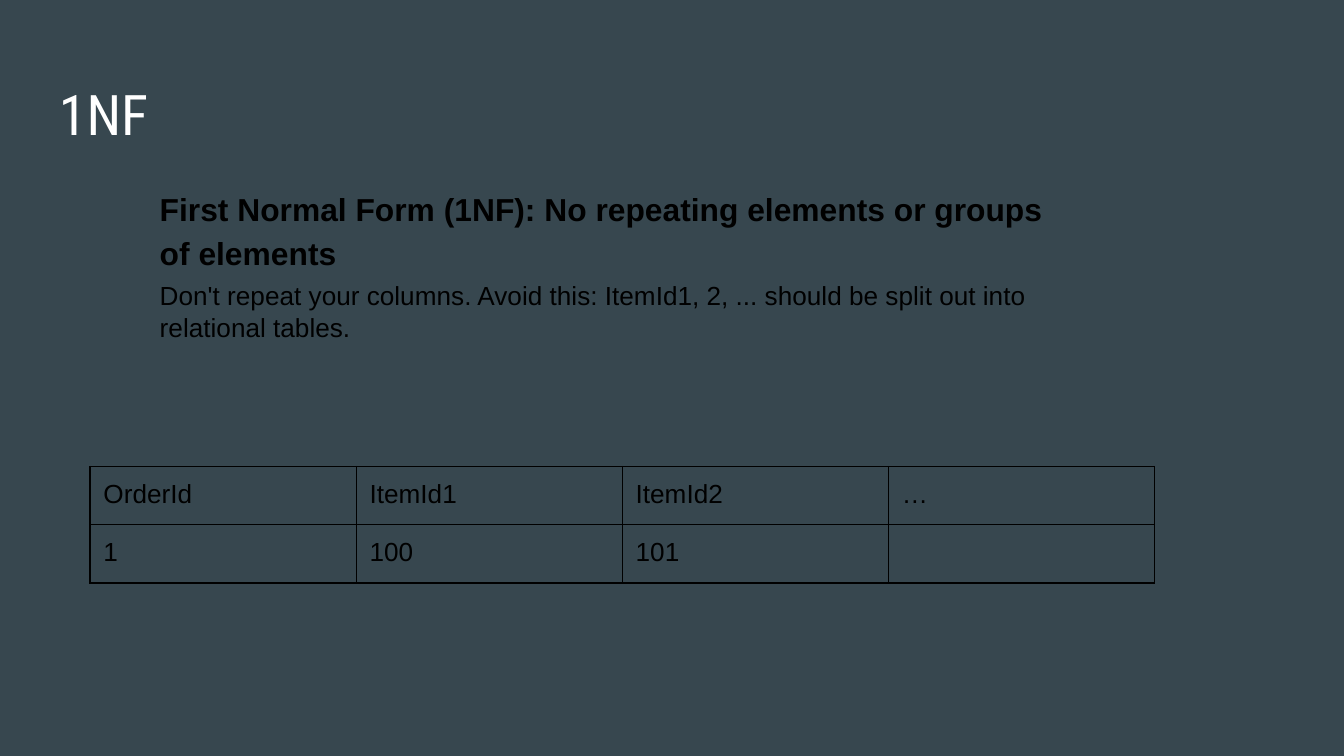
from lxml import etree
from pptx import Presentation
from pptx.dml.color import RGBColor
from pptx.enum.text import MSO_ANCHOR
from pptx.oxml.ns import qn
from pptx.util import Inches, Pt

TOP, MIDDLE = MSO_ANCHOR.TOP, MSO_ANCHOR.MIDDLE
SLATE = RGBColor(0x37, 0x47, 0x4F)
WHITE = RGBColor(0xFF, 0xFF, 0xFF)
BLACK = RGBColor(0, 0, 0)
INSET = Inches(0.1)

ORDERS = [
    ["OrderId", "ItemId1", "ItemId2", "…"],
    ["1", "100", "101", ""],
]


def style(paragraph, size, color=BLACK, face="Arial", bold=False):
    font = paragraph.font
    font.size, font.name, font.bold = Pt(size), face, bold
    font.color.rgb = color


def add_text_frame(slide, box, anchor):
    frame = slide.shapes.add_textbox(*map(Inches, box)).text_frame
    frame.word_wrap = True
    frame.vertical_anchor = anchor
    frame.margin_left = frame.margin_right = INSET
    frame.margin_top = frame.margin_bottom = INSET
    return frame


def add_title(slide, box):
    heading = add_text_frame(slide, box, TOP).paragraphs[0]
    heading.text = "1NF"
    style(heading, 30, WHITE, "Roboto Condensed")


def add_definition(slide, box):
    frame = add_text_frame(slide, box, MIDDLE)

    # Rule
    rule = frame.paragraphs[0]
    rule.text = ("First Normal Form (1NF): No repeating elements "
                 "or groups of elements")
    rule.line_spacing = 1.15
    rule.space_before = Pt(18)
    style(rule, 17, bold=True)

    # Advice
    advice = frame.add_paragraph()
    advice.text = ("Don't repeat your columns. Avoid this: ItemId1, 2, ... "
                   "should be split out into relational tables.")
    advice.space_before = Pt(4)
    style(advice, 14)


def add_borders(cell):
    properties = cell._tc.get_or_add_tcPr()
    for position, side in enumerate(("a:lnL", "a:lnR", "a:lnT", "a:lnB")):
        line = etree.Element(qn(side), w=str(Pt(0.75)))
        fill = etree.SubElement(line, qn("a:solidFill"))
        etree.SubElement(fill, qn("a:srgbClr"), val=str(BLACK))
        properties.insert(position, line)


def add_orders_table(slide, box):
    row_count, column_count = len(ORDERS), len(ORDERS[0])
    table = slide.shapes.add_table(
        row_count, column_count, *map(Inches, box)).table
    table.first_row = table.horz_banding = False
    for r, values in enumerate(ORDERS):
        for c, value in enumerate(values):
            cell = table.cell(r, c)
            cell.text = value
            cell.margin_left = cell.margin_right = INSET
            cell.margin_top = cell.margin_bottom = INSET
            cell.fill.background()
            style(cell.text_frame.paragraphs[0], 14)
            add_borders(cell)


def main():
    presentation = Presentation()
    # Widescreen, 16:9
    presentation.slide_width = Inches(10)
    presentation.slide_height = presentation.slide_width * 9 // 16
    slide = presentation.slides.add_slide(presentation.slide_layouts[6])
    slide.background.fill.solid()
    slide.background.fill.fore_color.rgb = SLATE

    add_title(slide, (0.34, 0.49, 9.32, 0.63))
    add_orders_table(slide, (0.67, 3.47, 7.92, 0.84))
    add_definition(slide, (1.09, 0.87, 6.92, 2.18))
    presentation.save("out.pptx")


if __name__ == "__main__":
    main()
